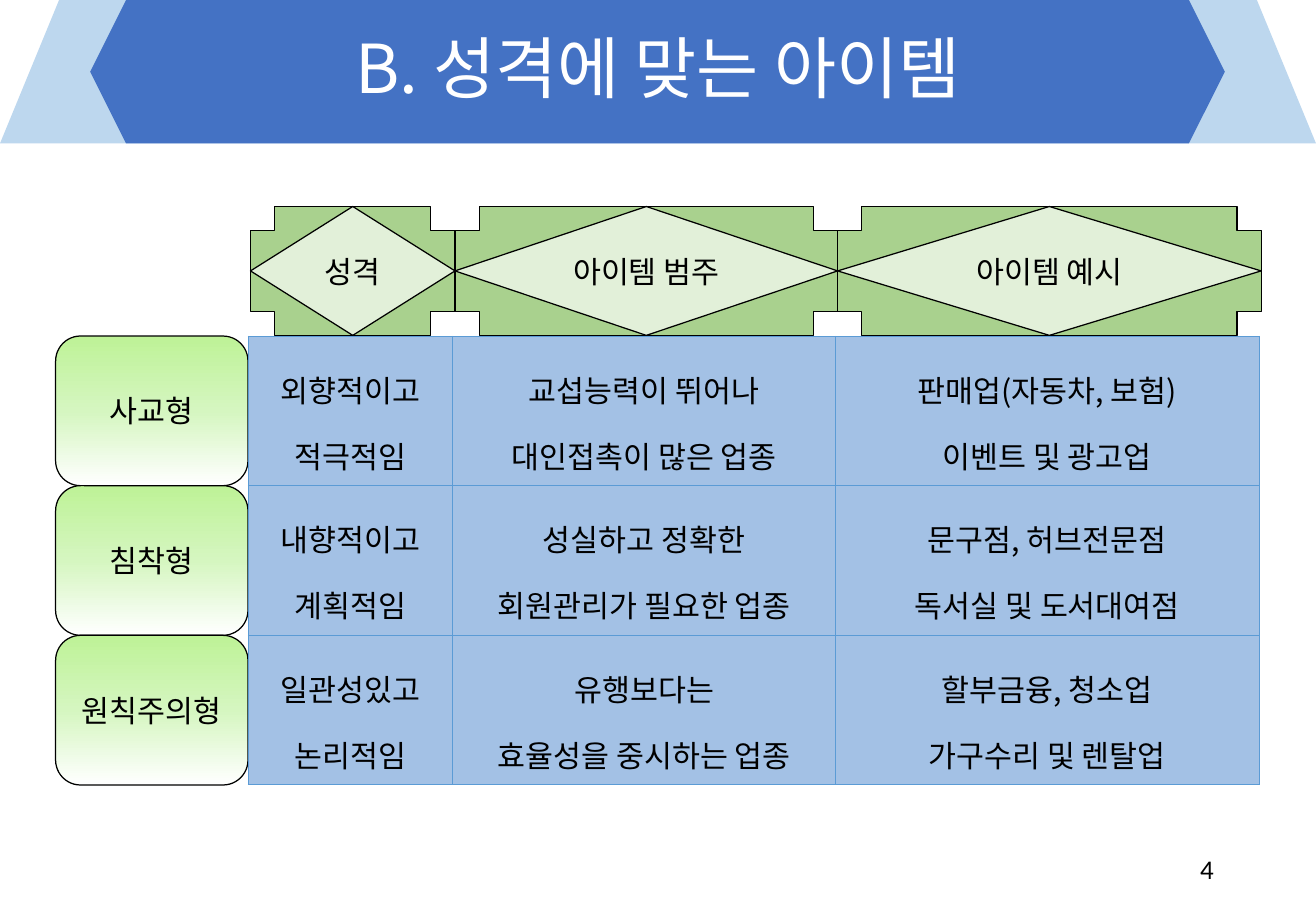
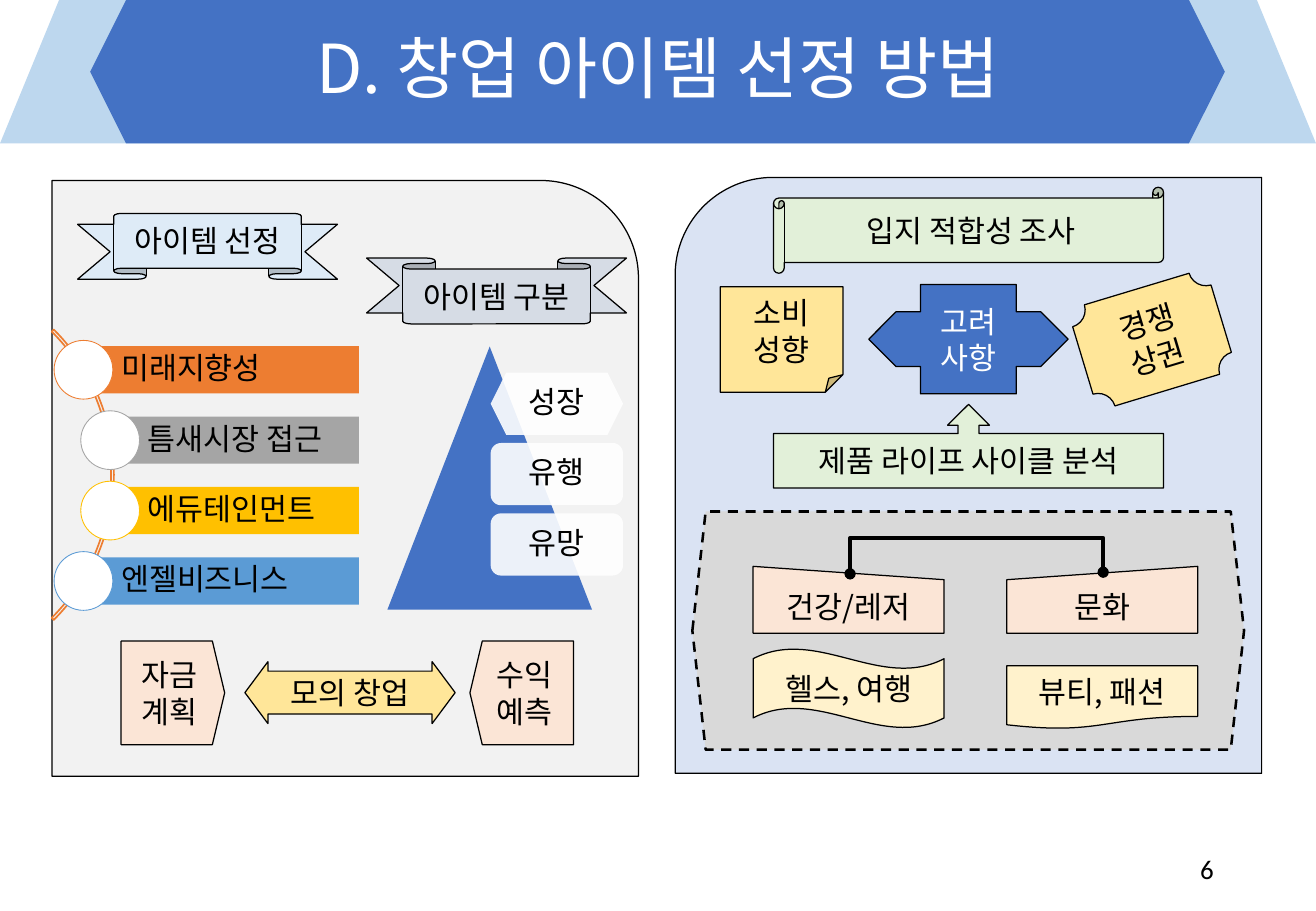
import copy

import pptx
import pptx.dml.color
import pptx.enum.dml
import pptx.enum.shapes
import pptx.enum.text
import pptx.oxml.ns
import pptx.util

Pt = pptx.util.Pt
KIND = pptx.enum.shapes.MSO_SHAPE
ALIGN = pptx.enum.text.PP_ALIGN
MIDDLE = pptx.enum.text.MSO_ANCHOR.MIDDLE
qn = pptx.oxml.ns.qn

WIDTH, HEIGHT, BAND = 780, 540, 85
KOREAN, LATIN = "Noto Sans CJK KR", "Calibri"
COLORS = {
    "black": "000000", "white": "FFFFFF", "blue": "4472C4", "band": "BDD7EE",
    "sky": "5B9BD5", "cell": "A3C1E5", "leaf": "A9D18E", "mint": "E2F0D9",
    "lime": "BEF297", "pale lime": "D5F6C0", "panel blue": "DAE3F3",
    "panel gray": "F2F2F2", "zone": "D9D9D9", "cream": "FFF2CC",
    "peach": "FBE5D6", "sand": "FFE699", "ice": "DEEBF7", "slate": "D6DCE5",
    "orange": "ED7D31", "gray": "A5A5A5", "gold": "FFC000",
}


def rgb(name):
    return pptx.dml.color.RGBColor.from_string(COLORS[name])


def child(parent, tag, **attributes):
    element = parent.makeelement(qn(tag), attributes)
    parent.append(element)
    return element


def inside(frame, left, top, width, height):
    return frame[0] + left, frame[1] + top, width, height


def write(text_frame, text, size=18, color="black", font=KOREAN,
          align=ALIGN.CENTER, spacing=None):
    text_frame.word_wrap = True
    for index, line in enumerate(text.split("\n")):
        para = text_frame.add_paragraph() if index else text_frame.paragraphs[0]
        para.alignment = align
        if spacing:
            para.line_spacing = spacing
        span = para.add_run()
        span.text = line
        span.font.size = Pt(size)
        span.font.color.rgb = rgb(color)
        span.font.name = font
        child(span.font._element, "a:ea", typeface=font)


def add_part(page, kind, box, fill=None, line="black", weight=0.75, text="",
             adjust=(), flip=False, margins=None, **style):
    part = page.shapes.add_shape(kind, *map(Pt, box))
    part.shadow.inherit = False
    for index, value in enumerate(adjust):
        part.adjustments[index] = value
    if fill:
        part.fill.solid()
        part.fill.fore_color.rgb = rgb(fill)
    else:
        part.fill.background()
    if line:
        part.line.color.rgb = rgb(line)
        part.line.width = Pt(weight)
    else:
        part.line.fill.background()
    if flip:
        part._element.spPr.find(qn("a:xfrm")).set("flipH", "1")
    if margins:
        frame = part.text_frame
        (frame.margin_left, frame.margin_top,
         frame.margin_right, frame.margin_bottom) = map(Pt, margins)
    if text:
        part.text_frame.vertical_anchor = MIDDLE
        write(part.text_frame, text, **style)
    return part


def add_text(page, box, text, **style):
    label = page.shapes.add_textbox(*map(Pt, box))
    label.text_frame.vertical_anchor = MIDDLE
    write(label.text_frame, text, **style)


def add_page(deck, title, number):
    page = deck.slides.add_slide(deck.slide_layouts[6])
    band = (0, 0, WIDTH, BAND)
    add_part(page, KIND.TRAPEZOID, band, "band", None, adjust=[0.412])
    add_part(page, KIND.HEXAGON, (53.5, 0, 672.5, BAND), "blue", None)
    add_text(page, band, title, size=40, color="white", spacing=0.9)
    add_text(page, (551, 500.4, 175.5, 28.8), number, size=16, font=LATIN,
             align=ALIGN.RIGHT)
    return page


def add_headers(page, box, widths, labels):
    left, top, _, height = box
    for width, label in zip(widths, labels):
        place = (left, top, width, height)
        add_part(page, KIND.CROSS, place, "leaf", adjust=[0.188])
        add_part(page, KIND.DIAMOND, place, "mint", text=label)
        left += width


def add_row_labels(page, box, labels):
    left, top, width, height = box
    step = height / len(labels)
    for index, label in enumerate(labels):
        part = add_part(page, KIND.ROUNDED_RECTANGLE,
                        (left, top + index * step, width, step), text=label)
        part.fill.gradient()
        part.fill.gradient_angle = 270
        stops = part._element.spPr.find(qn("a:gradFill")).find(qn("a:gsLst"))
        stops.append(copy.deepcopy(stops[0]))
        shades = zip(part.fill.gradient_stops, (0, 0.5, 1),
                     ("lime", "pale lime", "white"))
        for stop, position, color in shades:
            stop.position = position
            stop.color.rgb = rgb(color)


def add_borders(cell, color, weight):
    properties = cell._tc.get_or_add_tcPr()
    for index, side in enumerate(("a:lnL", "a:lnR", "a:lnT", "a:lnB")):
        border = properties.makeelement(qn(side), {"w": str(int(Pt(weight)))})
        child(child(border, "a:solidFill"), "a:srgbClr", val=COLORS[color])
        properties.insert(index, border)


def add_grid(page, box, widths, rows):
    table = page.shapes.add_table(len(rows), len(widths), *map(Pt, box)).table
    table.first_row = table.horz_banding = False
    for column, width in zip(table.columns, widths):
        column.width = Pt(width)
    for row, texts in zip(table.rows, rows):
        row.height = Pt(box[3] / len(rows))
        for cell, text in zip(row.cells, texts):
            cell.vertical_anchor = MIDDLE
            cell.fill.solid()
            cell.fill.fore_color.rgb = rgb("cell")
            add_borders(cell, "sky", 0.5)
            write(cell.text_frame, text, spacing=1.5)


def add_trait_list(page, box, traits):
    left, top, width, height = box
    add_part(page, KIND.BLOCK_ARC, inside(box, -225.4, -45.5, 243.4, 243.4),
             line="orange", weight=1, adjust=[189, 27, 0.007])
    bar, dot = 28, 34.8
    step = (height - bar) / (len(traits) - 1)
    for index, (text, color) in enumerate(traits):
        indent = 15.8 if 0 < index < len(traits) - 1 else 0
        x, y = left + indent, top + index * step
        add_part(page, KIND.RECTANGLE, (x, y, width - indent, bar), color, None,
                 text=text, align=ALIGN.LEFT, spacing=0.9,
                 margins=(22.3, 3.6, 3.6, 3.6))
        add_part(page, KIND.OVAL, (x - dot / 2, y + (bar - dot) / 2, dot, dot),
                 "white", color, 0.5)


def add_pyramid(page, box, labels):
    add_part(page, KIND.ISOSCELES_TRIANGLE, box, "blue", None)
    for index, label in enumerate(labels):
        kind = KIND.ROUNDED_RECTANGLE if index else KIND.HEXAGON
        badge = add_part(page, kind,
                         inside(box, 61.2, 15.5 + index * 41.7, 78.5, 36.9),
                         "white", None, text=label, spacing=0.9,
                         margins=(5, 5, 5, 5))
        color = badge._element.spPr.find(qn("a:solidFill"))[0]
        child(color, "a:alpha", val="90000")


def add_selection_panel(page, box):
    add_part(page, KIND.ROUND_1_RECTANGLE, box, "panel gray")
    ribbons = (
        (KIND.UP_RIBBON, 15.2, 19.5, "ice", "아이템 선정"),
        (KIND.DOWN_RIBBON, 186.5, 46, "slate", "아이템 구분"),
    )
    for kind, x, y, fill, text in ribbons:
        add_part(page, kind, inside(box, x, y, 154, 39), fill, text=text,
                 adjust=[0.167, 0.722])
    add_trait_list(page, inside(box, 18.7, 98.2, 163.3, 153.2), (
        ("미래지향성", "orange"), ("틈새시장 접근", "gray"),
        ("에듀테인먼트", "gold"), ("엔젤비즈니스", "sky")))
    add_pyramid(page, inside(box, 198.8, 98.4, 121.3, 156),
                ("성장", "유행", "유망"))
    for x, text, flip in ((41, "자금계획", False), (247.8, "수익예측", True)):
        add_part(page, KIND.PENTAGON, inside(box, x, 273, 61.4, 61.4), "peach",
                 text=text, adjust=[0.119], flip=flip)
    add_part(page, KIND.LEFT_RIGHT_ARROW, inside(box, 114.4, 285.2, 124.6, 36.7),
             "sand", text="모의 창업", adjust=[0.694, 0.372])


def add_bracket(page, start_x, start_y, span, rise):
    x, y = start_x + span / 2, start_y - 0.5
    bracket = page.shapes.add_connector(
        pptx.enum.shapes.MSO_CONNECTOR.ELBOW,
        Pt(x + 0.5), Pt(y + span / 2), Pt(x - 0.5), Pt(y - span / 2))
    bracket.line.color.rgb = rgb("black")
    bracket.line.width = Pt(2.25)
    properties = bracket._element.spPr
    properties.find(qn("a:xfrm")).set("rot", "5400000")
    guides = properties.find(qn("a:prstGeom")).find(qn("a:avLst"))
    child(guides, "a:gd", name="adj1", fmla=f"val {int(rise * 100000)}")
    line = properties.find(qn("a:ln"))
    child(line, "a:headEnd", type="oval")
    child(line, "a:tailEnd", type="oval")
    child(properties, "a:effectLst")


def add_location_panel(page, box):
    add_part(page, KIND.ROUND_1_RECTANGLE, box, "panel blue", flip=True)
    zone = add_part(page, KIND.HEXAGON, inside(box, 10.2, 198, 327, 141.2),
                    "zone", weight=1.5, adjust=[0.056])
    zone.line.dash_style = pptx.enum.dml.MSO_LINE.DASH
    left, right, width = 46.2, 196.5, 113.2
    parts = (
        (KIND.HORIZONTAL_SCROLL, (58.3, 5.8, 231.2, 51), "mint", "입지 적합성 조사"),
        (KIND.FOLDED_CORNER, (26.7, 64.8, 72.7, 62.6), "sand", "소비\n성향"),
        (KIND.UP_ARROW_CALLOUT, (58.3, 134.5, 231.2, 49.6), "mint",
         "제품 라이프 사이클 분석"),
        (KIND.FLOWCHART_MANUAL_INPUT, (right, 230.5, width, 39.6), "peach", "문화"),
        (KIND.WAVE, (left, 279.4, width, 46.8), "cream", "헬스, 여행"),
        (KIND.FLOWCHART_DOCUMENT, (right, 289.5, width, 37.4), "cream",
         "뷰티, 패션"),
    )
    for kind, place, fill, text in parts:
        add_part(page, kind, inside(box, *place), fill, text=text)
    add_part(page, KIND.FLOWCHART_MANUAL_INPUT,
             inside(box, left, 230.5, width, 39.6), "peach", text="건강/레저",
             flip=True)
    add_part(page, KIND.LEFT_RIGHT_ARROW_CALLOUT,
             inside(box, 114.7, 63.5, 118.2, 64.8), "blue", text="고려사항",
             color="white", adjust=[0.5, 0.25, 0.25, 0.481])
    ticket = add_part(page, KIND.PLAQUE, inside(box, 239.8, 64.8, 85.7, 62.6),
                      "sand", text="경쟁\n상권")
    ticket.rotation = 343.2
    add_bracket(page, box[0] + 103.7, box[1] + 235, 150, 21.5)


def build_personality_page(deck):
    page = add_page(deck, "B. 성격에 맞는 아이템", "4")
    widths = (121.2, 226.8, 251)
    add_row_labels(page, (33, 199.2, 114, 266.1),
                   ("사교형", "침착형", "원칙주의형"))
    add_headers(page, (148.5, 122.4, sum(widths), 76.4), widths,
                ("성격", "아이템 범주", "아이템 예시"))
    add_grid(page, (147.2, 199.4, sum(widths), 265.8), widths, (
        ("외향적이고 적극적임", "교섭능력이 뛰어나\n대인접촉이 많은 업종",
         "판매업(자동차, 보험)\n이벤트 및 광고업"),
        ("내향적이고 계획적임", "성실하고 정확한\n회원관리가 필요한 업종",
         "문구점, 허브전문점\n독서실 및 도서대여점"),
        ("일관성있고 논리적임", "유행보다는\n효율성을 중시하는 업종",
         "할부금융, 청소업\n가구수리 및 렌탈업")))


def build_method_page(deck):
    page = add_page(deck, "D. 창업 아이템 선정 방법", "6")
    add_location_panel(page, (400.2, 105.2, 347.6, 353.2))
    add_selection_panel(page, (30.8, 107, 347.6, 353.2))


def main():
    deck = pptx.Presentation()
    deck.slide_width, deck.slide_height = Pt(WIDTH), Pt(HEIGHT)
    build_personality_page(deck)
    build_method_page(deck)
    deck.save("out.pptx")


if __name__ == "__main__":
    main()
